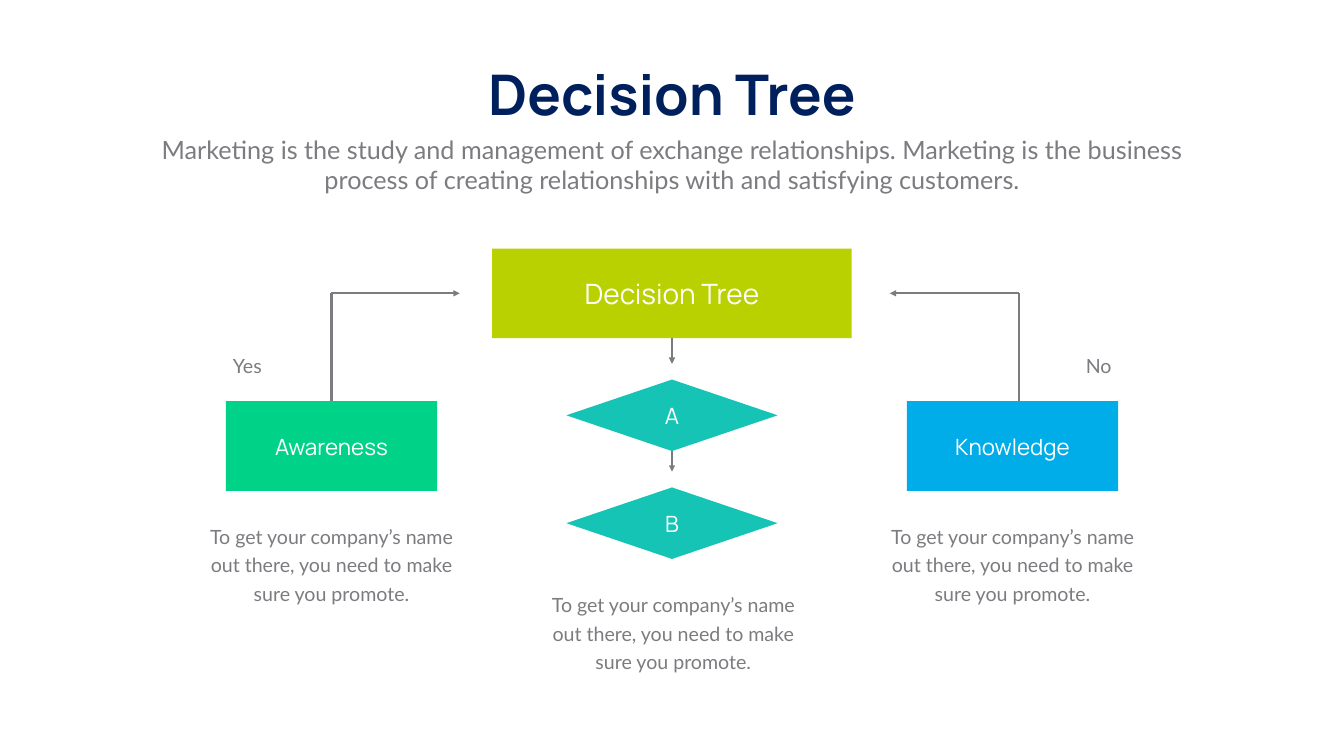
import pptx
import pptx.dml.color
import pptx.enum.shapes
import pptx.enum.text
import pptx.oxml
import pptx.oxml.ns
import pptx.util

Pt = pptx.util.Pt
SHAPES = pptx.enum.shapes.MSO_SHAPE
MIDDLE = pptx.enum.text.MSO_ANCHOR.MIDDLE
FIT = pptx.enum.text.MSO_AUTO_SIZE.SHAPE_TO_FIT_TEXT

COLORS = {
    "navy": "00205D", "grey": "7D7B7F", "white": "FFFFFF", "lime": "B9D100",
    "green": "00D287", "blue": "00ADE9", "teal": "16C4B6",
}
WIDTH, HEIGHT = 1919.52, 1080
CENTER = WIDTH / 2
TOP, BOTTOM = 0, 2  # connection sites


class TreeSlide:
    heading_font = "Manrope"
    body_font = "Lato"

    def __init__(self, slide):
        self.slide = slide

    def color(self, name):
        return pptx.dml.color.RGBColor.from_string(COLORS[name])

    def set_text(self, frame, text, font, size, color, bold=False):
        frame.text = text
        paragraph = frame.paragraphs[0]
        paragraph.alignment = pptx.enum.text.PP_ALIGN.CENTER
        paragraph.font.name = font
        paragraph.font.size = Pt(size)
        paragraph.font.bold = bold
        paragraph.font.color.rgb = self.color(color)
        return paragraph

    def title(self, text, center, top, width, height):
        heading = self.slide.shapes.title
        heading.left, heading.top = Pt(center - width / 2), Pt(top)
        heading.width, heading.height = Pt(width), Pt(height)
        frame = heading.text_frame
        frame.auto_size = pptx.enum.text.MSO_AUTO_SIZE.NONE
        frame.word_wrap = False
        frame.vertical_anchor = MIDDLE
        self.set_text(frame, text, self.heading_font, 80, "navy", bold=True)

    def text(self, text, center, top, width, height, size=28, spacing=None):
        box = self.slide.shapes.add_textbox(
            Pt(center - width / 2), Pt(top), Pt(width), Pt(height))
        frame = box.text_frame
        frame.word_wrap = True
        frame.auto_size = FIT
        paragraph = self.set_text(frame, text, self.body_font, size, "grey")
        if spacing:
            paragraph.line_spacing = Pt(spacing)

    def node(self, kind, text, center, top, width, height, fill, size=32):
        node = self.slide.shapes.add_shape(
            kind, Pt(center - width / 2), Pt(top), Pt(width), Pt(height))
        node.shadow.inherit = False
        node.fill.solid()
        node.fill.fore_color.rgb = self.color(fill)
        node.line.fill.background()
        frame = node.text_frame
        frame.margin_left = frame.margin_right = 0
        frame.margin_top = frame.margin_bottom = 0
        frame.word_wrap = True
        frame.vertical_anchor = MIDDLE
        self.set_text(frame, text, self.heading_font, size, "white")
        return node

    def line(self, start, end, arrow=False, source=None, site=None):
        line = self.slide.shapes.add_connector(
            pptx.enum.shapes.MSO_CONNECTOR.STRAIGHT,
            *(Pt(value) for value in (*start, *end)))
        line.line.color.rgb = self.color("grey")
        line.line.width = Pt(3)
        properties = line._element.spPr
        namespace = pptx.oxml.ns.nsdecls("a")
        if arrow:
            properties.find(pptx.oxml.ns.qn("a:ln")).append(
                pptx.oxml.parse_xml(f'<a:tailEnd {namespace} type="triangle"/>'))
        properties.append(pptx.oxml.parse_xml(f"<a:effectLst {namespace}/>"))
        if source is not None:
            line.begin_connect(source, site)


def main():
    deck = pptx.Presentation()
    deck.slide_width, deck.slide_height = Pt(WIDTH), Pt(HEIGHT)
    tree = TreeSlide(deck.slides.add_slide(deck.slide_layouts[5]))

    # Heading
    tree.title("Decision Tree", CENTER, 80.6, 569.5, 104.4)
    tree.text("Marketing is the study and management of exchange relationships. "
              "Marketing is the business process of creating relationships with "
              "and satisfying customers.", CENTER, 188, 1499, 94.3, size=36)

    # Root and outcome boxes
    left, right = 473.4, WIDTH - 473.4
    box_height, outcome_top, outcome_width = 128.2, 573.1, 301.7
    root_top = 355
    root = tree.node(SHAPES.RECTANGLE, "Decision Tree", CENTER, root_top, 513.4,
                     box_height, "lime", size=40)
    awareness = tree.node(SHAPES.RECTANGLE, "Awareness", left, outcome_top,
                          outcome_width, box_height, "green")
    tree.node(SHAPES.RECTANGLE, "Knowledge", right, outcome_top,
              outcome_width, box_height, "blue")

    # Middle decisions, each reached by a short arrow
    diamond_height, first_top, step = 102.2, 542.2, 154.1
    above, above_bottom = root, root_top + box_height
    for index, letter in enumerate("AB"):
        top = first_top + index * step
        tree.line((CENTER, above_bottom), (CENTER, top - 22.5), arrow=True,
                  source=above, site=BOTTOM)
        above = tree.node(SHAPES.DIAMOND, letter, CENTER, top, outcome_width,
                          diamond_height, "teal")
        above_bottom = top + diamond_height

    # Side branches up to the root; the right one rises off-centre
    branch_y = 419
    for x, tip, source in ((left, 656.6, awareness), (1455.5, 1270.8, None)):
        tree.line((x, outcome_top), (x, branch_y), source=source, site=TOP)
        tree.line((x, branch_y), (tip, branch_y), arrow=True)

    # Branch answers
    for answer, x in (("Yes", 353.2), ("No", 1569.2)):
        tree.text(answer, x, 502.6, 111.6, 41)

    # Captions
    for x, top in ((left, 738.7), (CENTER + 1.8, 836.6), (right, 738.7)):
        tree.text("To get your company’s name out there, you need to make sure "
                  "you promote.", x, top, 391, 127.4, spacing=40.8)

    deck.save("out.pptx")


if __name__ == "__main__":
    main()
